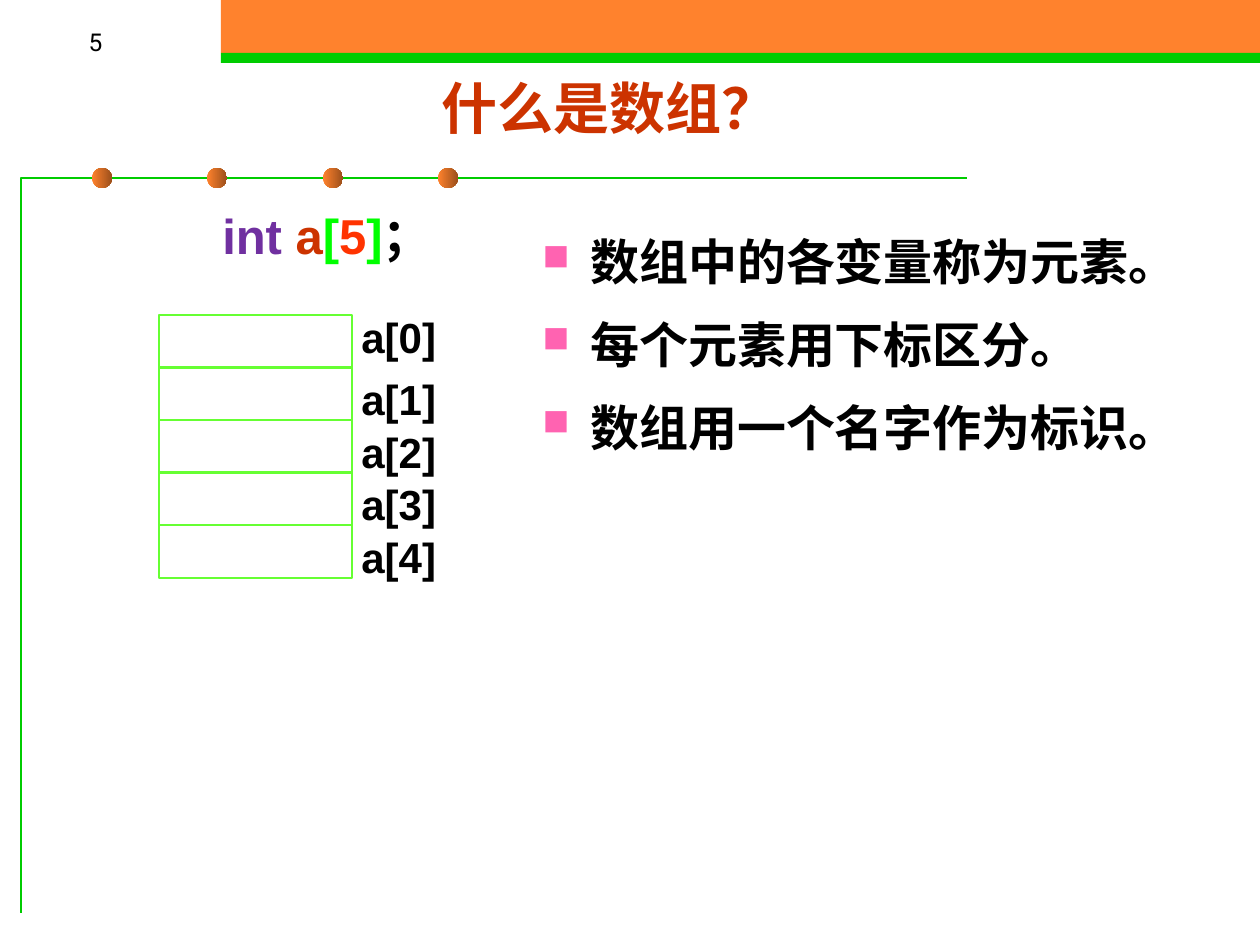
from dataclasses import dataclass

from lxml.etree import SubElement
from pptx import Presentation
from pptx.dml.color import RGBColor as RGB
from pptx.enum.shapes import MSO_SHAPE as SHAPE
from pptx.enum.text import MSO_ANCHOR as ANCHOR, MSO_AUTO_SIZE as AUTO, PP_ALIGN as ALIGN
from pptx.oxml.ns import qn
from pptx.util import Pt

SCALE = 914400 // 126


@dataclass(frozen=True)
class Theme:
    """Colours, fonts and type sizes of the slide."""
    orange: str = "FF822D"
    brown: str = "9B4F1B"
    green: str = "00CC00"
    cell: str = "66FF33"
    bullet: str = "FF63B1"
    title: str = "CC3300"
    keyword: str = "7030A0"
    bracket: str = "00FF00"
    number: str = "FF3300"
    black: str = "000000"
    sans: str = "Roboto"
    latin: str = "Arial"
    title_size: int = 32
    body_size: int = 28
    label_size: int = 24
    page_size: int = 14
    line: float = 0.74


class Deck:
    """Draws styled elements on the current slide."""

    def __init__(self, prs, theme):
        """Set the slide size and open a title-only slide."""
        self.t = theme
        prs.slide_width, prs.slide_height = self.px(1260, 945)
        self.s = prs.slides.add_slide(prs.slide_layouts[5])

    def px(self, *lengths):
        """Turn pixels into EMU."""
        return [n * SCALE for n in lengths]

    def shape(self, kind, box, fill=None, line=None, gradient=None):
        """Add a preset shape."""
        sp = self.s.shapes.add_shape(kind, *self.px(*box))
        sp.shadow.inherit = False
        if gradient:
            sp.fill.gradient()
            sp.fill.gradient_angle = 0
            for stop, color, pos in zip(sp.fill.gradient_stops, gradient, (0, 1)):
                stop.color.rgb, stop.position = RGB.from_string(color), pos
        elif fill:
            sp.fill.solid()
            sp.fill.fore_color.rgb = RGB.from_string(fill)
        else:
            sp.fill.background()
        self.outline(sp, line)

    def outline(self, sp, color):
        """Set or remove the line of a shape."""
        if color:
            sp.line.color.rgb, sp.line.width = RGB.from_string(color), Pt(self.t.line)
        else:
            sp.line.fill.background()

    def polyline(self, start, *points):
        """Add an open outline."""
        fb = self.s.shapes.build_freeform(*start, scale=SCALE)
        fb.add_line_segments(points, close=False)
        sp = fb.convert_to_shape()
        sp.shadow.inherit = False
        sp.fill.background()
        self.outline(sp, self.t.green)

    def fill_text(self, tf, paragraphs, size, font, bold=True, frame=None, para=None):
        """Fill a text frame with paragraphs of (text, colour) runs."""
        for name, value in {"word_wrap": True, "auto_size": AUTO.NONE, **(frame or {})}.items():
            setattr(tf, name, value)
        for i, runs in enumerate(paragraphs):
            p = tf.paragraphs[0] if i == 0 else tf.add_paragraph()
            for name, value in (para or {}).items():
                setattr(p, name, value)
            for text, color in runs:
                r = p.add_run()
                r.text = text
                for name, value in {"size": Pt(size), "name": font, "bold": bold}.items():
                    setattr(r.font, name, value)
                r.font.color.rgb = RGB.from_string(color)
                SubElement(r._r.get_or_add_rPr(), qn("a:ea"), typeface=font)

    def title(self, box, text):
        """Place and format the title placeholder."""
        sp = self.s.shapes.title
        sp.left, sp.top, sp.width, sp.height = self.px(*box)
        self.fill_text(sp.text_frame, [[(text, self.t.title)]], self.t.title_size, self.t.sans,
                       frame={"vertical_anchor": ANCHOR.MIDDLE}, para={"alignment": ALIGN.CENTER})

    def text(self, box, paragraphs, size, font, **style):
        """Add a text box and return its frame."""
        tf = self.s.shapes.add_textbox(*self.px(*box)).text_frame
        self.fill_text(tf, paragraphs, size, font, **style)
        return tf

    def bullets(self, box, lines):
        """Add a list with square bullets."""
        tf = self.text(box, [[(line, self.t.black)] for line in lines], self.t.body_size,
                       self.t.sans, para={"line_spacing": 1.2, "space_before": Pt(7)})
        indent, = self.px(48)
        for p in tf.paragraphs:
            pPr = p._p.get_or_add_pPr()
            pPr.set("marL", str(indent))
            pPr.set("indent", str(-indent))
            SubElement(SubElement(pPr, qn("a:buClr")), qn("a:srgbClr"), val=self.t.bullet)
            SubElement(pPr, qn("a:buSzPct"), val="75000")
            SubElement(pPr, qn("a:buChar"), char="■")


def main():
    """Build the slide and save it."""
    prs, t = Presentation(), Theme()
    d = Deck(prs, t)

    d.shape(SHAPE.RECTANGLE, (221, 0, 1039, 53), t.orange)
    d.shape(SHAPE.RECTANGLE, (221, 53, 1039, 10), t.green)
    d.polyline((21, 913), (21, 178), (967, 178))
    for i in range(4):
        d.shape(SHAPE.OVAL, (92 + i * 231 // 2, 168, 20, 20), gradient=(t.orange, t.brown))

    d.text((0, 0, 115, 63), [[("5", t.black)]], t.page_size, t.sans, bold=False,
           frame={"vertical_anchor": ANCHOR.BOTTOM}, para={"alignment": ALIGN.RIGHT})
    d.title((64, 66, 1091, 82), "什么是数组？")
    d.bullets((530, 214, 684, 645),
              ["数组中的各变量称为元素。", "每个元素用下标区分。", "数组用一个名字作为标识。"])

    for i in range(5):
        top = 315 + i * 105 // 2
        d.shape(SHAPE.RECTANGLE, (159, top, 193, 53), line=t.cell)
        d.text((349, top if i else top - 10, 100, 63), [[(f"a[{i}]", t.black)]], t.label_size,
               t.latin, frame={"word_wrap": False, "auto_size": AUTO.SHAPE_TO_FIT_TEXT})

    declaration = [("int ", t.keyword), ("a", t.title), ("[", t.bracket), ("5", t.number),
                   ("]", t.bracket), ("；", t.black)]
    d.text((52, 199, 392, 72), [declaration], t.body_size, t.latin,
           frame={"auto_size": AUTO.SHAPE_TO_FIT_TEXT}, para={"alignment": ALIGN.RIGHT})

    prs.save("out.pptx")


main()
